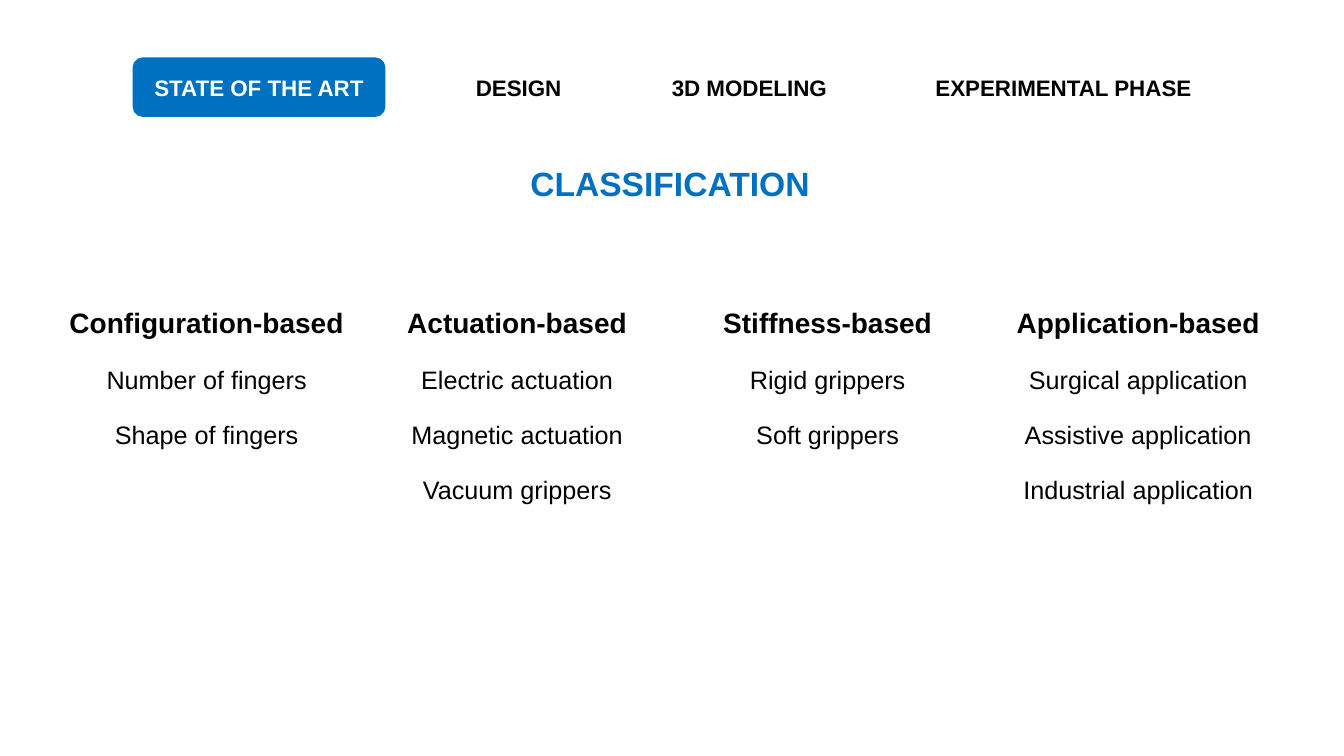
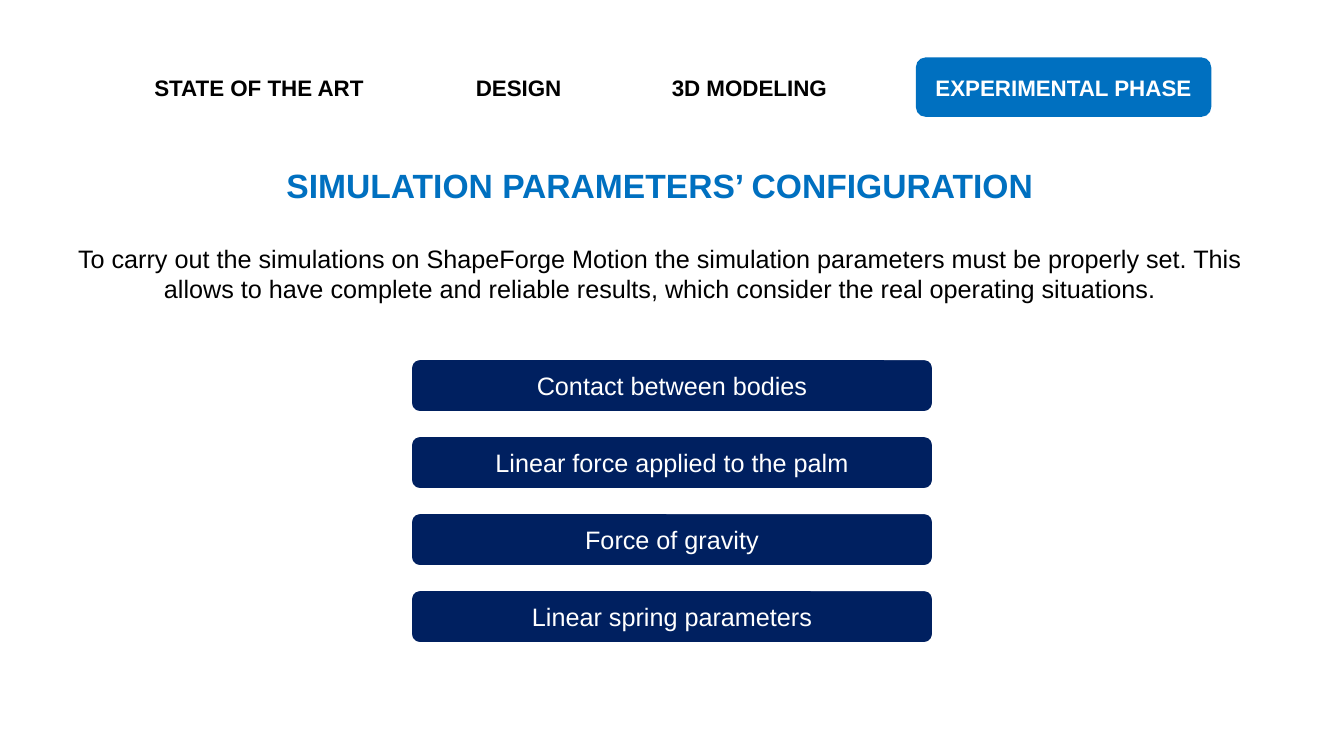
from pptx import Presentation
from pptx.dml.color import RGBColor
from pptx.enum.shapes import MSO_SHAPE as Preset
from pptx.enum.text import MSO_ANCHOR as Anchor, PP_ALIGN as Align
from pptx.util import Pt


def color(hex_string):
    return RGBColor.from_string(hex_string)


class Deck:
    FONT = "Arial"
    BLACK, WHITE, BLUE, NAVY = "000000", "FFFFFF", "0070C0", "002060"
    SECTIONS = {
        "STATE OF THE ART": (100.8, 168.5),
        "DESIGN": (331.2, 78.5),
        "3D MODELING": (471.6, 127.4),
        "EXPERIMENTAL PHASE": (660.2, 199),
    }

    def __init__(self):
        self.presentation = Presentation()
        self.presentation.slide_width = Pt(960)
        self.presentation.slide_height = Pt(540)
        self.slide = None

    def add_slide(self, active_section):
        layout = self.presentation.slide_layouts[6]
        self.slide = self.presentation.slides.add_slide(layout)
        self.navigation(active_section)

    def fill_frame(self, frame, text, size, ink, bold=False):
        frame.word_wrap = True
        paragraph = frame.paragraphs[0]
        paragraph.text = text
        paragraph.alignment = Align.CENTER
        font = paragraph.font
        font.name, font.size, font.bold = self.FONT, Pt(size), bold
        font.color.rgb = color(ink)

    def text(self, text, left, top, width, height, size, ink=BLACK, bold=False):
        box = self.slide.shapes.add_textbox(Pt(left), Pt(top), Pt(width), Pt(height))
        self.fill_frame(box.text_frame, text, size, ink, bold)

    def rounded(self, left, top, width, height, fill):
        shape = self.slide.shapes.add_shape(
            Preset.ROUNDED_RECTANGLE, Pt(left), Pt(top), Pt(width), Pt(height))
        shape.shadow.inherit = False
        shape.fill.solid()
        shape.fill.fore_color.rgb = color(fill)
        shape.line.fill.background()
        return shape

    def navigation(self, active_section):
        padding = 6
        left, width = self.SECTIONS[active_section]
        self.rounded(left - padding, 41, width + 2 * padding, 42.5, self.BLUE)
        for section, (left, width) in self.SECTIONS.items():
            ink = self.WHITE if section == active_section else self.BLACK
            self.text(section, left, 49.2, width, 26.6, 16, ink, bold=True)

    def title(self, text, left, top, width):
        self.text(text, left, top, width, 36, 24, self.BLUE, bold=True)

    def bar(self, text, left, top, width, height):
        shape = self.rounded(left, top, width, height, self.NAVY)
        shape.line.color.rgb = color(self.WHITE)
        shape.line.width = Pt(1.5)
        shape.text_frame.vertical_anchor = Anchor.MIDDLE
        self.fill_frame(shape.text_frame, text, 18, self.WHITE)

    def list_table(self, entries, left, top, width):
        header_height, row_height = 41.8, 39.4
        height = header_height + row_height * (len(entries) - 1)
        table = self.slide.shapes.add_table(
            len(entries), 1, Pt(left), Pt(top), Pt(width), Pt(height)).table
        table.first_row = table.horz_banding = False
        for index, entry in enumerate(entries):
            is_header = index == 0
            table.rows[index].height = Pt(header_height if is_header else row_height)
            cell = table.cell(index, 0)
            cell.fill.background()
            self.fill_frame(cell.text_frame, entry, 20 if is_header else 18,
                            self.BLACK, is_header)

    def save(self):
        self.presentation.save("out.pptx")


def classification(deck):
    deck.add_slide("STATE OF THE ART")
    deck.title("CLASSIFICATION", 370.6, 113, 216)
    categories = [
        ("Configuration-based", "Number of fingers", "Shape of fingers"),
        ("Actuation-based", "Electric actuation", "Magnetic actuation",
         "Vacuum grippers"),
        ("Stiffness-based", "Rigid grippers", "Soft grippers"),
        ("Application-based", "Surgical application", "Assistive application",
         "Industrial application"),
    ]
    column_width = 221.8
    for index, entries in enumerate(categories):
        deck.list_table(entries, 36.7 + index * column_width, 216.6, column_width)


def simulation_parameters(deck):
    deck.add_slide("EXPERIMENTAL PHASE")
    deck.title("SIMULATION PARAMETERS’ CONFIGURATION", 196.6, 114.5, 549.4)
    deck.text("To carry out the simulations on ShapeForge Motion the simulation "
              "parameters must be properly set. This allows to have complete and "
              "reliable results, which consider the real operating situations.",
              41.8, 170, 859, 51, 18)
    parameters = ["Contact between bodies", "Linear force applied to the palm",
                  "Force of gravity", "Linear spring parameters"]
    for index, parameter in enumerate(parameters):
        deck.bar(parameter, 293.5, 256.4 + index * 55, 373, 38)


def main():
    deck = Deck()
    classification(deck)
    simulation_parameters(deck)
    deck.save()


if __name__ == "__main__":
    main()
